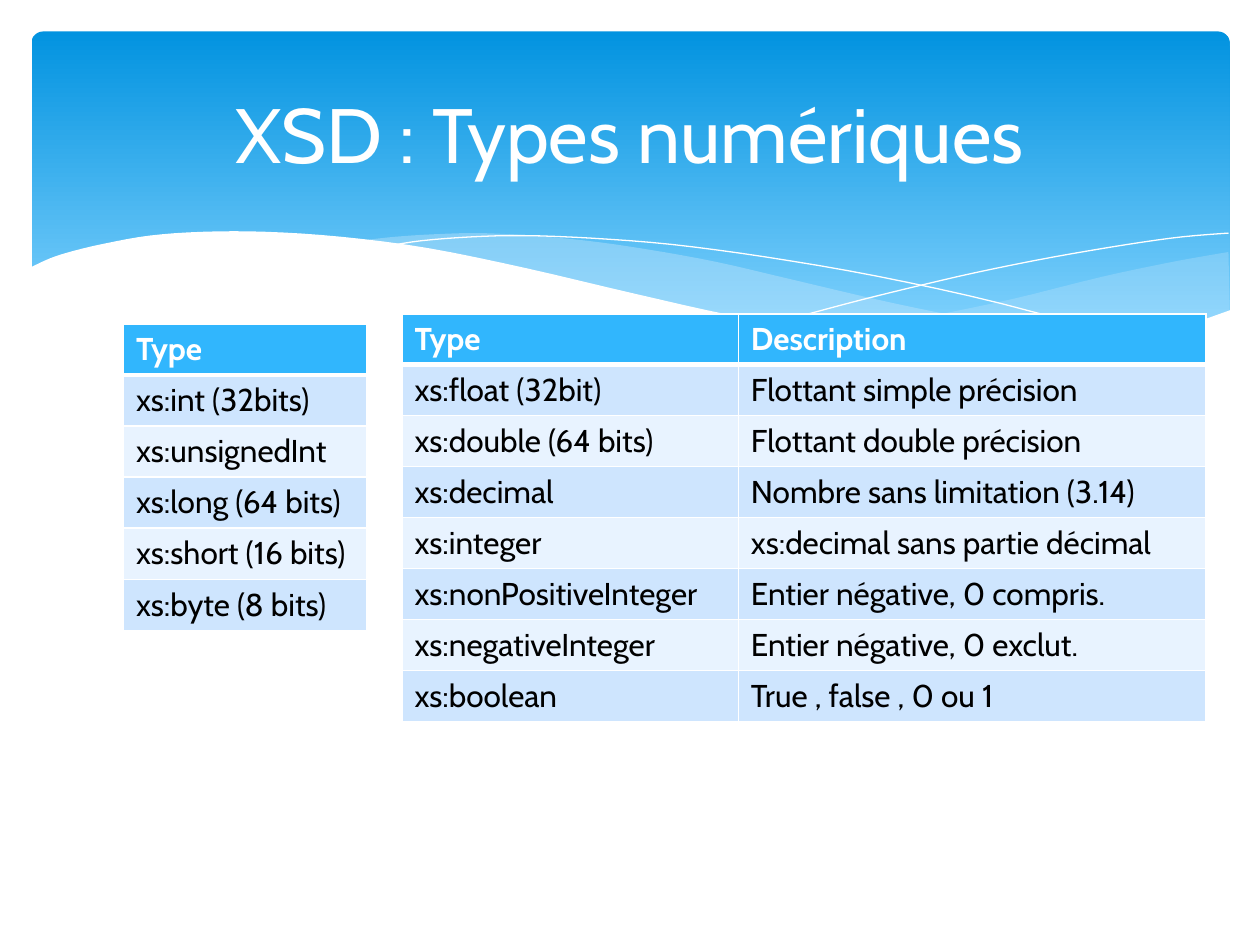
import pptx
import pptx.dml.color
import pptx.enum.shapes
import pptx.enum.text
import pptx.oxml
import pptx.oxml.ns
import pptx.util
import lxml.etree

Inches = pptx.util.Inches
Pt = pptx.util.Pt
qn = pptx.oxml.ns.qn

FONT = "Cabin"
WHITE, BLACK, MIST = "FFFFFF", "000000", "C6E7FC"
HEADER, ROW_DARK, ROW_LIGHT = "31B6FD", "CEE5FE", "E8F3FF"

# Wave edges, in inches from the top left corner of the banner.
RIGHT_TOP = [(9.5, 1.75), (9.1, 1.82), (8.66, 1.91), (8.36, 1.98), (7.8, 2.12),
             (7.28, 2.23), (6.81, 2.32), (6.36, 2.4)]
RIGHT_BOTTOM = [(6.36, 2.4), (6.8, 2.46), (7.2, 2.5), (7.56, 2.52), (7.89, 2.53),
                (8.29, 2.51), (8.64, 2.47), (8.96, 2.4), (9.24, 2.32), (9.51, 2.22)]
MIDDLE_TOP = [(8.68, 2.48), (8.12, 2.4), (7.5, 2.29), (6.81, 2.15), (6.04, 1.97),
              (5.44, 1.83), (4.89, 1.73), (4.4, 1.66), (3.95, 1.62), (3.55, 1.6),
              (3.19, 1.61), (2.88, 1.63), (2.61, 1.66)]
MIDDLE_BOTTOM = [(2.61, 1.66), (3.17, 1.74), (3.79, 1.86), (4.24, 1.97), (5.05, 2.15),
                 (5.76, 2.3), (6.4, 2.41), (6.97, 2.49), (7.48, 2.52), (7.93, 2.53),
                 (8.32, 2.52), (8.68, 2.48)]
FALLING_LINE = [(2.84, 1.7), (3.1, 1.66), (3.49, 1.63), (3.91, 1.62), (4.44, 1.64),
                (5.08, 1.69), (5.83, 1.79), (6.7, 1.94), (7.7, 2.16), (8.82, 2.47)]
RISING_LINE = [(5.88, 2.32), (6.47, 2.16), (6.95, 2.04), (7.51, 1.91), (8.11, 1.79),
               (8.7, 1.69), (9.13, 1.63), (9.5, 1.6)]
WHITE_TOP = [(9.52, 2.21), (9.05, 2.37), (8.62, 2.46), (8.12, 2.51), (7.53, 2.51),
             (6.83, 2.45), (6.23, 2.37), (5.54, 2.25), (4.78, 2.08), (3.93, 1.88),
             (3.15, 1.72), (2.46, 1.63), (1.86, 1.59), (1.36, 1.59), (0.94, 1.62),
             (0.6, 1.68), (0.34, 1.74), (0.15, 1.8), (-0.02, 1.88)]
WHITE_BOTTOM = [(-0.02, 3.04), (9.52, 3.04)]

INTEGER_ROWS = [["Type"], ["xs:int (32bits)"], ["xs:unsignedInt"], ["xs:long (64 bits)"],
                ["xs:short (16 bits)"], ["xs:byte (8 bits)"]]
NUMBER_ROWS = [
    ["Type", "Description"],
    ["xs:float (32bit)", "Flottant simple précision"],
    ["xs:double (64 bits)", "Flottant double précision"],
    ["xs:decimal", "Nombre sans limitation (3.14)"],
    ["xs:integer", "xs:decimal sans partie décimal"],
    ["xs:nonPositiveInteger", "Entier négative, 0 compris."],
    ["xs:negativeInteger", "Entier négative, 0 exclut."],
    ["xs:boolean", "True , false , 0 ou 1"],
]


def color(value):
    """Turn a hex string into a colour."""
    return pptx.dml.color.RGBColor.from_string(value)


def smooth(points, steps=4):
    """Return points on a Catmull-Rom curve through the given points."""
    padded = [points[0], *points, points[-1]]
    curve = [points[0]]
    for a, b, c, d in zip(padded, padded[1:], padded[2:], padded[3:]):
        for step in range(1, steps + 1):
            t = step / steps
            curve.append(tuple(
                (2 * q + (r - p) * t + (2 * p - 5 * q + 4 * r - s) * t ** 2
                 + (3 * q - p - 3 * r + s) * t ** 3) / 2
                for p, q, r, s in zip(a, b, c, d)))
    return curve


def add_outline(page, box, points, close):
    """Draw a freeform through points measured from the corner of box."""
    placed = [(Inches(box[0] + x), Inches(box[1] + y)) for x, y in points]
    builder = page.shapes.build_freeform(*placed[0], scale=1.0)
    builder.add_line_segments(placed[1:], close=close)
    shape = builder.convert_to_shape()
    shape.shadow.inherit = False
    return shape


def add_wave(page, box, points, fill, opacity=100):
    """Draw a filled wave without an outline."""
    wave = add_outline(page, box, points, True)
    wave.fill.solid()
    wave.fill.fore_color.rgb = color(fill)
    wave.line.fill.background()
    if opacity < 100:
        tint = wave.fill._xPr.find(".//" + qn("a:srgbClr"))
        lxml.etree.SubElement(tint, qn("a:alpha")).set("val", str(opacity * 1000))


def add_banner(page, box):
    """Draw the blue gradient banner and its waves."""
    banner = page.shapes.add_shape(pptx.enum.shapes.MSO_SHAPE.ROUNDED_RECTANGLE,
                                   *map(Inches, box))
    banner.adjustments[0] = 0.034
    banner.shadow.inherit = False
    banner.line.fill.background()
    banner.fill.gradient()
    banner.fill.gradient_angle = 270
    for stop, (position, value) in zip(banner.fill.gradient_stops,
                                       [(0, "0293E0"), (0.9, "83D3FE")]):
        stop.position = position
        stop.color.rgb = color(value)

    add_wave(page, box, smooth(RIGHT_TOP) + smooth(RIGHT_BOTTOM), MIST, 29)
    add_wave(page, box, smooth(MIDDLE_TOP) + smooth(MIDDLE_BOTTOM), MIST, 40)
    for points in (FALLING_LINE, RISING_LINE):
        line = add_outline(page, box, smooth(points), False)
        line.fill.background()
        line.line.color.rgb = color(WHITE)
        line.line.width = Pt(0)
    add_wave(page, box, smooth(WHITE_TOP) + WHITE_BOTTOM, WHITE)


def style_text(paragraph, size, value, bold=False):
    """Set the font of a paragraph."""
    font = paragraph.font
    font.name, font.size, font.bold = FONT, Pt(size), bold
    font.color.rgb = color(value)


def add_title(page, box, text):
    """Place the centred slide title."""
    frame = page.shapes.add_textbox(*map(Inches, box)).text_frame
    frame.word_wrap = True
    frame.vertical_anchor = pptx.enum.text.MSO_ANCHOR.MIDDLE
    paragraph = frame.paragraphs[0]
    paragraph.text = text
    paragraph.alignment = pptx.enum.text.PP_ALIGN.CENTER
    style_text(paragraph, 44, WHITE)


def add_borders(cell, top, bottom):
    """Give a cell white borders, with the given top and bottom widths."""
    properties = cell._tc.get_or_add_tcPr()
    for index, (side, width) in enumerate([("L", 1), ("R", 1), ("T", top), ("B", bottom)]):
        properties.insert(index, pptx.oxml.parse_xml(
            f'<a:ln{side} xmlns:a="http://schemas.openxmlformats.org/drawingml/2006/main" '
            f'w="{Pt(width)}"><a:solidFill><a:srgbClr val="{WHITE}"/></a:solidFill>'
            f'</a:ln{side}>'))


def add_type_table(page, box, widths, rows):
    """Place a banded table with a header row."""
    table = page.shapes.add_table(len(rows), len(widths), *map(Inches, box)).table
    for column, width in zip(table.columns, widths):
        column.width = Inches(width)
    for row_index, row in enumerate(rows):
        is_header = row_index == 0
        band = HEADER if is_header else (ROW_LIGHT, ROW_DARK)[row_index % 2]
        for column_index, text in enumerate(row):
            cell = table.cell(row_index, column_index)
            cell.text = text
            cell.fill.solid()
            cell.fill.fore_color.rgb = color(band)
            style_text(cell.text_frame.paragraphs[0], 18,
                       WHITE if is_header else BLACK, is_header)
            add_borders(cell, 3 if row_index == 1 else 1, 3 if is_header else 1)


def main():
    """Build and save the slide."""
    deck = pptx.Presentation()
    deck.slide_width, deck.slide_height = Inches(10), Inches(7.5)
    page = deck.slides.add_slide(deck.slide_layouts[6])
    add_banner(page, (0.25, 0.25, 9.51, 2.7))
    add_type_table(page, (0.98, 2.57, 1.93, 2.43), [1.93], INTEGER_ROWS)
    add_title(page, (0.5, 0.37, 9, 1.37), "XSD : Types numériques")
    add_type_table(page, (3.19, 2.49, 6.38, 3.24), [2.67, 3.71], NUMBER_ROWS)
    deck.save("out.pptx")


main()
